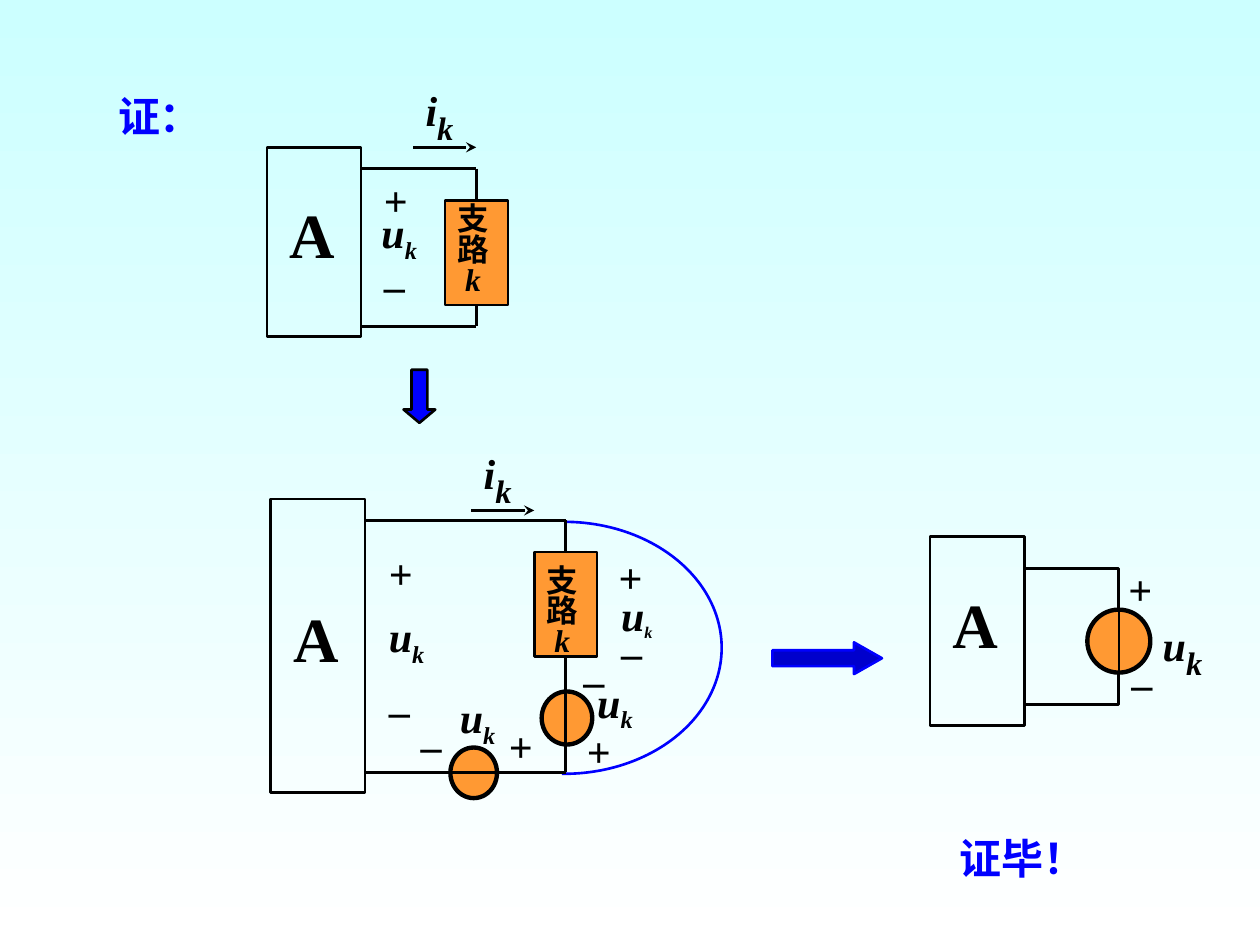
from itertools import pairwise

from lxml import etree
from pptx import Presentation
from pptx.dml import color
from pptx.enum import shapes, text
from pptx.oxml import ns
from pptx.util import Cm, Pt

THEME = {
    "sky": "CCFFFF", "white": "FFFFFF", "ink": "000000", "part": "FF9933",
    "blue": "0000FF", "navy": "0000CC",
    "latin": "Times New Roman", "cjk": "Noto Sans CJK SC",
    "network": 36, "symbol": 24, "branch": 18,
    "thin": 1.5, "thick": 2.5,
}

ORIGINAL = {
    "network": (5.38, 2.97, 1.9, 3.81),
    "branch": (8.97, 4.04), "branch_drop": 0,
    "current": (8.33, 2.97),
    "wires": [[(7.29, 3.4), (9.6, 3.4), (9.6, 4.04)],
              [(7.29, 6.58), (9.6, 6.58), (9.6, 6.15)]],
    "signs": [("+", 7.49, 3.4), ("–", 7.49, 5.11)],
    "voltages": [(7.44, 4.04, 24)],
}
REPLACED = {
    "network": (18.75, 10.82, 1.9, 3.81),
    "loop": (20.65, 11.46, 1.9, 2.74),
    "sources": [(21.92, 12.29, 1.27, 1.27)],
    "wires": [[(22.56, 12.24), (22.56, 13.61)]],
    "signs": [("+", 22.5, 11.23), ("–", 22.56, 13.13)],
    "voltages": [(23.19, 12.09, 32)],
}
WITH_SOURCES = {
    "network": (5.46, 10.06, 1.9, 5.92),
    "branch": (10.77, 11.13), "branch_drop": 0.2,
    "sources": [(10.92, 13.94, 1.02, 1.07), (9.08, 15.07, 0.94, 1.02)],
    "current": (9.5, 10.29),
    "wires": [[(7.37, 10.49), (11.4, 10.49), (11.4, 11.13)],
              [(7.37, 15.57), (11.4, 15.57), (11.4, 13.23)]],
    "signs": [("+", 7.59, 10.92), ("–", 7.59, 13.67),
              ("+", 12.22, 11), ("–", 12.27, 12.5),
              ("–", 11.51, 13.06), ("+", 11.58, 14.5),
              ("–", 8.23, 14.38), ("+", 10.01, 14.4)],
    "voltages": [(7.59, 12.19, 24), (12.27, 11.76, 16),
                 (11.79, 13.51, 24), (9.02, 13.82, 24)],
}
BRANCH_SIZE = (1.27, 2.11)
BRANCH_LABEL = [[("支", {})], [("路", {})], [(" ", {}), ("k", {"italic": True})]]
HEADINGS = [("证：", (2.13, 1.7, 2.24, 1.27), text.PP_ALIGN.LEFT),
            ("证毕！", (19.08, 16.66, 3.07, 1.27), text.PP_ALIGN.CENTER)]
DOWN_STEP = (7.92, 7.67, 1.07, 0.64)
RIGHT_STEP = (15.57, 12.95, 2.21, 0.64)
SHORT_CIRCUIT = (8.2, 10.52, 6.35, 5.08)


def rgb(name):
    return color.RGBColor.from_string(THEME[name])


def write(home, paragraphs, box, size, ink="ink", latin="latin", spacing=None,
          align=text.PP_ALIGN.LEFT, anchor=text.MSO_ANCHOR.TOP, wrap=True):
    frame = home.add_textbox(*map(Cm, box)).text_frame
    frame.word_wrap = wrap
    frame.vertical_anchor = anchor
    for index, pieces in enumerate(paragraphs):
        line = frame.add_paragraph() if index else frame.paragraphs[0]
        line.alignment = align
        line.line_spacing = spacing
        for words, style in pieces:
            run = line.add_run()
            run.text = words
            run.font.name = THEME[latin]
            run.font.size = Pt(style.get("size", size))
            run.font.bold = True
            run.font.italic = style.get("italic", False)
            run.font.color.rgb = rgb(ink)
            props = run.font._element
            if style.get("sub"):
                props.set("baseline", "-25000")
            etree.SubElement(props, ns.qn("a:ea"), typeface=THEME["cjk"])


def draw(home, preset, box, fill=None, line="ink", weight="thin"):
    figure = home.add_shape(preset, *map(Cm, box))
    figure.shadow.inherit = False
    if fill:
        figure.fill.solid()
        figure.fill.fore_color.rgb = rgb(fill)
    else:
        figure.fill.background()
    figure.line.color.rgb = rgb(line)
    figure.line.width = Pt(THEME[weight])
    return figure


def wire(home, start, end, arrow=False):
    path = home.add_connector(shapes.MSO_CONNECTOR.STRAIGHT, *map(Cm, start + end))
    path.line.color.rgb = rgb("ink")
    path.line.width = Pt(THEME["thin"])
    if arrow:
        etree.SubElement(path.line._get_or_add_ln(), ns.qn("a:tailEnd"), type="stealth")
    etree.SubElement(path._element.spPr, ns.qn("a:effectLst"))


def symbol(home, letter, sub_size, box):
    pieces = [(letter, {"italic": True}),
              ("k", {"italic": True, "sub": True, "size": sub_size})]
    write(home, [pieces], box, THEME["symbol"])


def circuit(slide, plan):
    home = slide.shapes.add_group_shape().shapes
    rect = shapes.MSO_SHAPE.RECTANGLE
    left, top, width, height = plan["network"]
    draw(home, rect, plan["network"])
    write(home, [[("A", {})]], (left + 0.2, top + (height - 1.78) / 2 - 0.16, 1.27, 1.78),
          THEME["network"])
    if "loop" in plan:
        draw(home, rect, plan["loop"])
    for source in plan.get("sources", []):
        draw(home, shapes.MSO_SHAPE.OVAL, source, "part", weight="thick")
    if "branch" in plan:
        x, y = plan["branch"]
        draw(home, rect, (x, y, *BRANCH_SIZE), "part")
        write(home, BRANCH_LABEL, (x, y + plan["branch_drop"], 1.07, 3.3),
              THEME["branch"], spacing=0.8)
    for corners in plan["wires"]:
        for start, end in pairwise(corners):
            wire(home, start, end)
    if "current" in plan:
        x, y = plan["current"]
        wire(home, (x, y), (x + 1.27, y), arrow=True)
        symbol(home, "i", 32, (x, y - 1.68, 1.47, 1.8))
    for sign, x, y in plan["signs"]:
        write(home, [[(sign, {})]], (x, y, 1.07, 1.27), THEME["symbol"])
    for x, y, sub_size in plan["voltages"]:
        symbol(home, "u", sub_size, (x, y, 1.52, 1.42))


def step(slide, box, head, fill, line):
    arrow = draw(slide.shapes, shapes.MSO_SHAPE.RIGHT_ARROW, box, fill, line)
    arrow.adjustments[1] = head
    return arrow


def main():
    deck = Presentation()
    deck.slide_width, deck.slide_height = Cm(25.4), Cm(19.05)
    slide = deck.slides.add_slide(deck.slide_layouts[6])
    backdrop = slide.background.fill
    backdrop.gradient()
    backdrop.gradient_angle = 270
    for stop, tint in zip(backdrop.gradient_stops, ("sky", "white")):
        stop.color.rgb = rgb(tint)

    circuit(slide, ORIGINAL)
    circuit(slide, REPLACED)
    step(slide, DOWN_STEP, 0.42, "blue", "ink").rotation = 90
    for words, box, align in HEADINGS:
        write(slide.shapes, [[(words, {})]], box, THEME["symbol"], ink="blue", latin="cjk",
              align=align, anchor=text.MSO_ANCHOR.MIDDLE, wrap=False)
    bypass = draw(slide.shapes, shapes.MSO_SHAPE.ARC, SHORT_CIRCUIT, line="blue")
    bypass.adjustments[1] = 54.6
    circuit(slide, WITH_SOURCES)
    step(slide, RIGHT_STEP, 0.88, "navy", "blue")
    deck.save("out.pptx")


if __name__ == "__main__":
    main()
